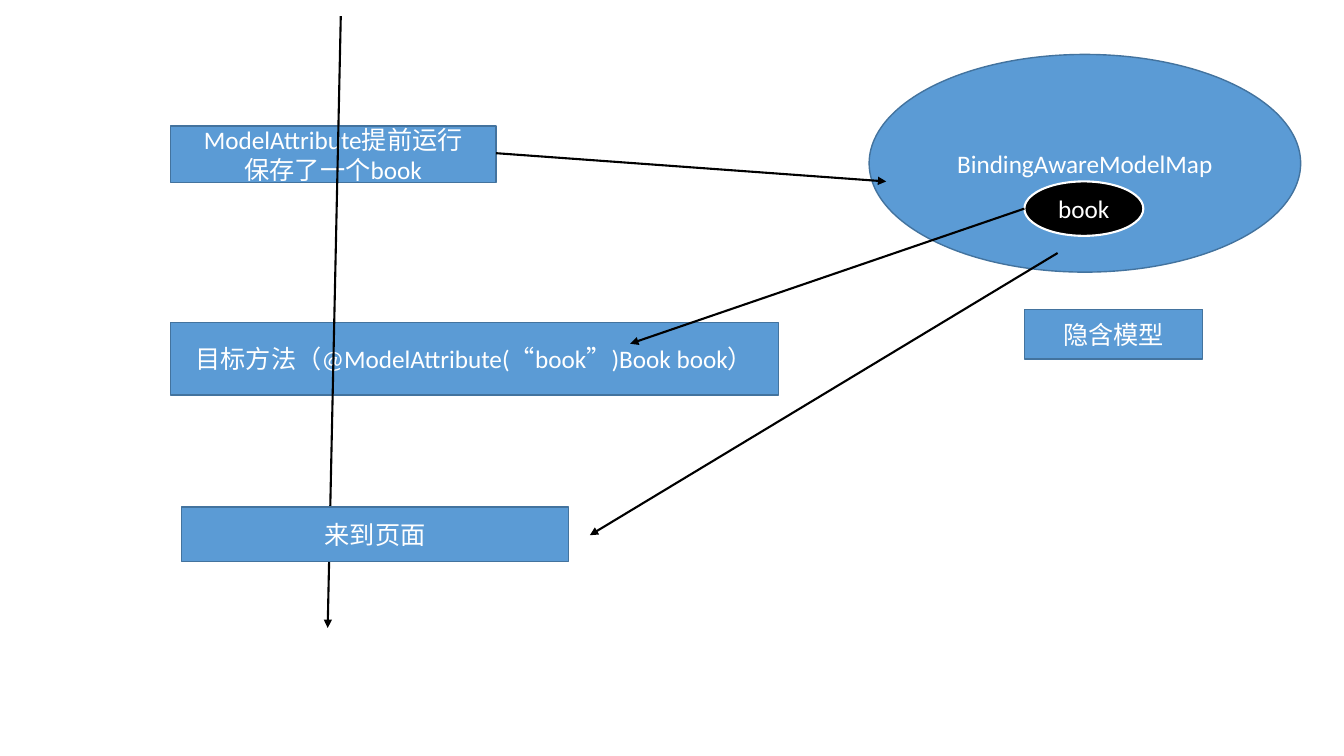
from dataclasses import dataclass

from lxml import etree
from pptx import Presentation
from pptx.dml.color import RGBColor
from pptx.enum import shapes, text
from pptx.oxml import ns
from pptx.util import Inches, Pt


@dataclass(frozen=True)
class Theme:
    """Colours, font and sizes of the slide."""
    blue: str = "5B9BD5"
    dark_blue: str = "43739E"
    black: str = "000000"
    white: str = "FFFFFF"
    font: str = "Calibri"
    text_size: float = 18
    thin: float = 1
    thick: float = 1.5


THEME = Theme()
RECTANGLE = shapes.MSO_SHAPE.RECTANGLE
OVAL = shapes.MSO_SHAPE.OVAL
STEP = (THEME.blue, THEME.dark_blue, THEME.thin)
OBJECT = (THEME.black, THEME.white, THEME.thick)

# Back to front: ("node", outline, style, (left, top, width, height), lines)
# or ("arrow", start, end).
DIAGRAM = [
    ("node", RECTANGLE, STEP, (1.69, 3.2, 6.03, 0.72),
     ["目标方法（@ModelAttribute(“book”)Book book）"]),
    ("node", RECTANGLE, STEP, (1.69, 1.25, 3.23, 0.56),
     ["ModelAttribute提前运行", "保存了一个book"]),
    ("node", OVAL, STEP, (8.62, 0.54, 4.28, 2.16), ["BindingAwareModelMap"]),
    ("arrow", (3.38, 0.16), (3.25, 6.23)),
    ("arrow", (4.92, 1.52), (8.79, 1.8)),
    ("node", OVAL, OBJECT, (10.16, 1.8, 1.18, 0.54), ["book"]),
    ("arrow", (10.16, 2.07), (6.25, 3.41)),
    ("node", RECTANGLE, STEP, (1.8, 5.03, 3.84, 0.54), ["来到页面"]),
    ("arrow", (10.49, 2.51), (5.85, 5.31)),
    ("node", RECTANGLE, STEP, (10.16, 3.07, 1.77, 0.49), ["隐含模型"]),
]


def add_node(slide, outline, style, box, lines):
    """Add a filled shape with centred text, one paragraph per line."""
    fill, border, width = style
    shape = slide.shapes.add_shape(outline, *map(Inches, box))
    shape.shadow.inherit = False
    shape.fill.solid()
    shape.fill.fore_color.rgb = RGBColor.from_string(fill)
    shape.line.color.rgb = RGBColor.from_string(border)
    shape.line.width = Pt(width)
    frame = shape.text_frame
    frame.word_wrap = True
    frame.vertical_anchor = text.MSO_ANCHOR.MIDDLE
    for index, line in enumerate(lines):
        paragraph = frame.add_paragraph() if index else frame.paragraphs[0]
        paragraph.alignment = text.PP_ALIGN.CENTER
        run = paragraph.add_run()
        run.text = line
        run.font.name = THEME.font
        run.font.size = Pt(THEME.text_size)
        run.font.color.rgb = RGBColor.from_string(THEME.white)


def add_arrow(slide, start, end):
    """Add a straight line with a triangle head at its end."""
    connector = slide.shapes.add_connector(
        shapes.MSO_CONNECTOR.STRAIGHT, *map(Inches, start + end))
    connector.line.color.rgb = RGBColor.from_string(THEME.black)
    connector.line.width = Pt(THEME.thick)
    properties = connector.element.spPr
    outline = properties.find(ns.qn("a:ln"))
    etree.SubElement(outline, ns.qn("a:tailEnd"), type="triangle")
    etree.SubElement(properties, ns.qn("a:effectLst"))


def main():
    """Build the flow diagram and save it."""
    presentation = Presentation()
    presentation.slide_width = Inches(13.33)
    presentation.slide_height = Inches(7.5)
    slide = presentation.slides.add_slide(presentation.slide_layouts[6])
    builders = {"node": add_node, "arrow": add_arrow}
    for kind, *details in DIAGRAM:
        builders[kind](slide, *details)
    presentation.save("out.pptx")


main()
